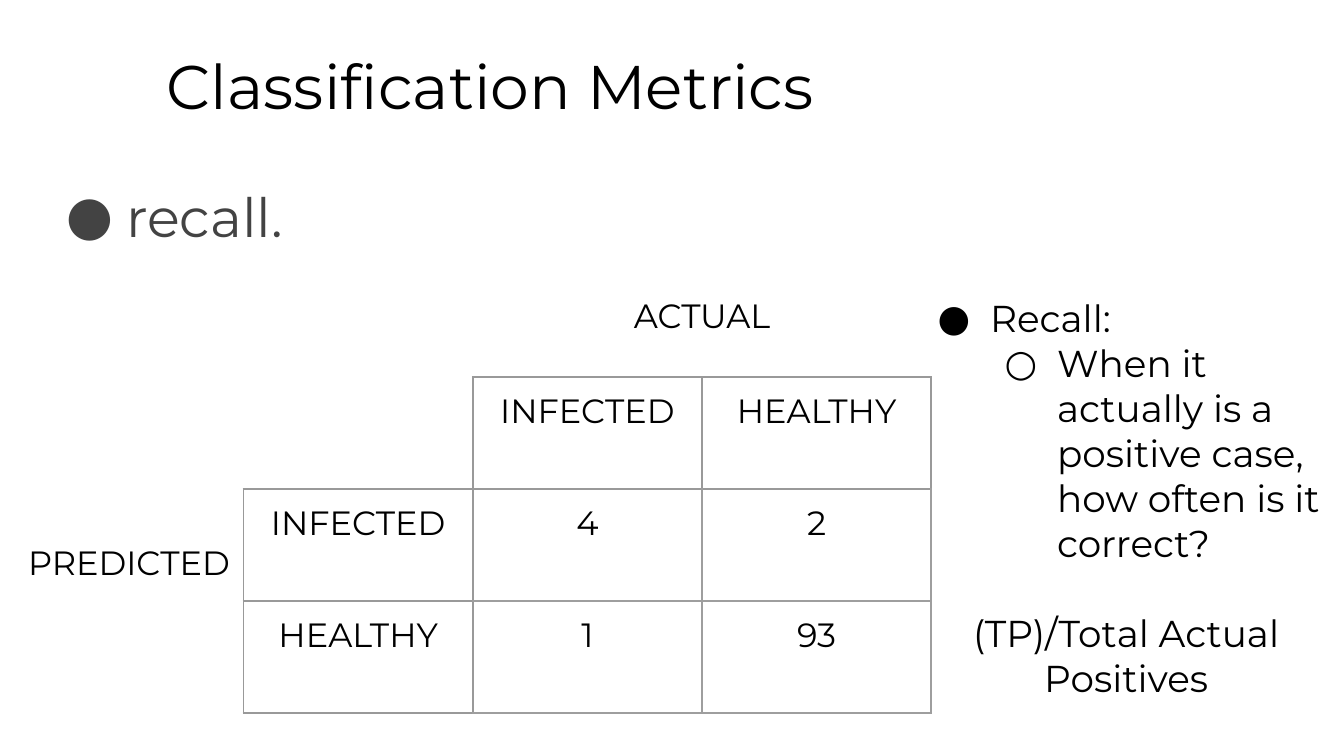
import lxml.etree
import pptx
import pptx.dml.color
import pptx.enum.text
import pptx.oxml.ns
import pptx.util

Cm = pptx.util.Cm
Pt = pptx.util.Pt
CENTER = pptx.enum.text.PP_ALIGN.CENTER
FONT = "Montserrat"
INSET = Cm(0.34)
COLORS = {"text": "000000", "body": "434343", "header_border": "999999", "value_border": "9E9E9E"}
PLAIN_TABLE_STYLE = "{2D5ABB26-0587-4C30-8999-92F81FD0307C}"
MATRIX = [
    ["", "", "ACTUAL", ""],
    ["", "", "INFECTED", "HEALTHY"],
    ["PREDICTED", "INFECTED", "4", "2"],
    ["", "HEALTHY", "1", "93"],
]


def add_element(parent, tag, **attributes):
    """Append a DrawingML element to the parent and return it."""
    element = lxml.etree.SubElement(parent, pptx.oxml.ns.qn(tag))
    for name, value in attributes.items():
        element.set(name, str(value))
    return element


def style_font(paragraph, size, color="text"):
    """Set the font of a whole paragraph."""
    paragraph.font.name = FONT
    paragraph.font.size = Pt(size)
    paragraph.font.color.rgb = pptx.dml.color.RGBColor.from_string(COLORS[color])


def set_bullet(paragraph, character, margin, hanging):
    """Give a paragraph a bullet and a hanging indent."""
    properties = paragraph._p.get_or_add_pPr()
    properties.set("marL", str(margin))
    properties.set("indent", str(-hanging))
    add_element(properties, "a:buFont", typeface=FONT)
    add_element(properties, "a:buChar", char=character)


def set_margins(target):
    """Apply the common inset to a text frame or table cell."""
    target.margin_left = target.margin_right = INSET
    target.margin_top = target.margin_bottom = INSET


def add_text_frame(slide, box):
    """Add a wrapping text box and return its text frame."""
    text_frame = slide.shapes.add_textbox(*box).text_frame
    text_frame.word_wrap = True
    set_margins(text_frame)
    return text_frame


def add_title(slide, box):
    """Add the slide title."""
    paragraph = add_text_frame(slide, box).paragraphs[0]
    paragraph.text = "Classification Metrics"
    paragraph.line_spacing = 0.9
    style_font(paragraph, 44)


def add_topic(slide, box):
    """Add the large topic bullet."""
    paragraph = add_text_frame(slide, box).paragraphs[0]
    paragraph.text = "recall."
    set_bullet(paragraph, "●", Cm(1.7), Cm(1.52))
    style_font(paragraph, 38.7, "body")


def set_borders(cell, row, column):
    """Draw the borders of a header or value cell of the matrix."""
    is_value = row >= 2 and column >= 2
    for side in "LRTB":
        beside_header = (side == "L" and column == 2) or (side == "T" and row == 2)
        color = "value_border" if is_value and not beside_header else "header_border"
        line = add_element(cell._tc.get_or_add_tcPr(), f"a:ln{side}", w=Pt(1.5))
        fill = add_element(line, "a:solidFill")
        add_element(fill, "a:srgbClr", val=COLORS[color])


def add_matrix(slide, box):
    """Add the confusion matrix with its two axis labels."""
    left, top, width, height = box
    table = slide.shapes.add_table(len(MATRIX), len(MATRIX[0]), *box).table
    table.first_row = table.horz_banding = False
    table._tbl.tblPr.find(pptx.oxml.ns.qn("a:tableStyleId")).text = PLAIN_TABLE_STYLE
    for column in table.columns:
        column.width = width // len(MATRIX[0])
    table.rows[0].height = Cm(2.39)
    for row in list(table.rows)[1:]:
        row.height = (height - Cm(2.39)) // 3
    for row, labels in enumerate(MATRIX):
        for column, label in enumerate(labels):
            cell = table.cell(row, column)
            set_margins(cell)
            if min(row, column) >= 1 and row + column >= 3:
                set_borders(cell, row, column)
            cell.fill.background()
            if label:
                paragraph = cell.text_frame.paragraphs[0]
                paragraph.text = label
                paragraph.alignment = CENTER
                style_font(paragraph, 24)
    table.cell(0, 2).merge(table.cell(0, 3))
    table.cell(2, 0).merge(table.cell(3, 0))
    table.cell(2, 0).margin_top = Cm(1.37)


def add_definition(slide, box):
    """Add the definition of recall and its formula."""
    text_frame = add_text_frame(slide, box)
    heading = text_frame.paragraphs[0]
    heading.text = "Recall:"
    set_bullet(heading, "●", Cm(1.7), Cm(1.32))
    question = text_frame.add_paragraph()
    question.text = "When it actually is a positive case, how often is it correct?"
    question.level = 1
    set_bullet(question, "○", Cm(3.39), Cm(1.32))
    formula = text_frame.add_paragraph()
    formula.text = "(TP)/Total Actual Positives"
    formula.alignment = CENTER
    formula.space_before = Pt(32.5)
    for paragraph in text_frame.paragraphs:
        style_font(paragraph, 26.7)


def main():
    """Build and save the presentation."""
    presentation = pptx.Presentation()
    presentation.slide_width = Cm(33.87)
    presentation.slide_height = Cm(19.05)
    slide = presentation.slides.add_slide(presentation.slide_layouts[6])
    add_title(slide, (Cm(3.86), Cm(1.09), Cm(28.85), Cm(2.13)))
    add_topic(slide, (Cm(1.14), Cm(4.27), Cm(32.16), Cm(12.65)))
    add_matrix(slide, (Cm(0.36), Cm(7.11), Cm(23.11), Cm(10.86)))
    add_definition(slide, (Cm(22.91), Cm(7.11), Cm(10.95), Cm(11.15)))
    presentation.save("out.pptx")


if __name__ == "__main__":
    main()
